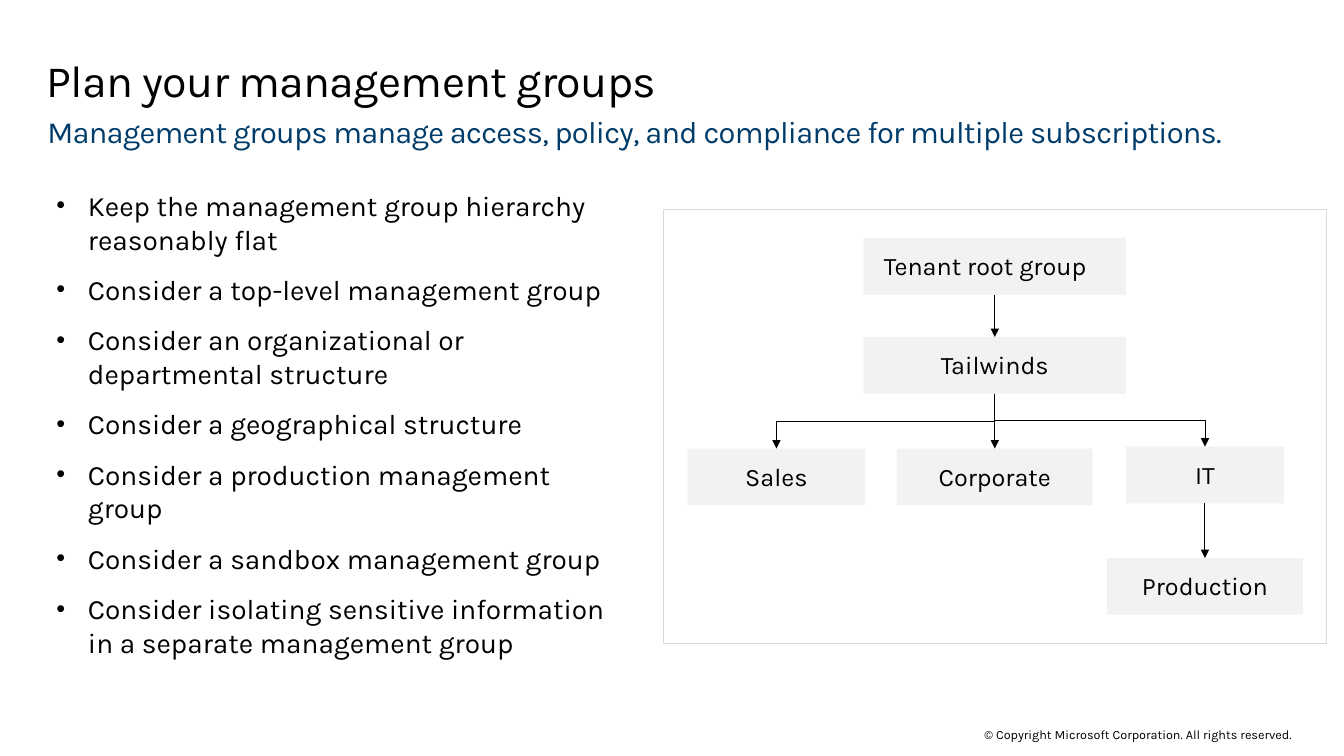
from lxml.etree import SubElement
from pptx import Presentation
from pptx.dml.color import RGBColor
from pptx.enum.shapes import MSO_CONNECTOR as LINE, MSO_SHAPE as SHAPE
from pptx.enum.text import MSO_ANCHOR as ANCHOR, MSO_AUTO_SIZE as FIT, PP_ALIGN as ALIGN
from pptx.oxml.ns import qn
from pptx.util import Pt

FONT = "Karla"
COLORS = {"text": "000000", "subtitle": "003C6A", "box": "F2F2F2", "frame": "D9D9D9"}

TITLE = "Plan your management groups"
SUBTITLE = "Management groups manage access, policy, and compliance for multiple subscriptions."
COPYRIGHT = "© Copyright Microsoft Corporation. All rights reserved."
ADVICE = [
    "Keep the management group hierarchy reasonably flat",
    "Consider a top-level management group",
    "Consider an organizational or departmental structure",
    "Consider a geographical structure",
    "Consider a production management group",
    "Consider a sandbox management group",
    "Consider isolating sensitive information in a separate management group",
]

# name: (centre x, top, width, parent), in points
BOX_HEIGHT = 40.5
GROUPS = {
    "Tenant root group": (710.6, 170, 187.2, None),
    "Tailwinds": (710.6, 240.7, 187.2, "Tenant root group"),
    "Sales": (554.6, 320.4, 126.8, "Tailwinds"),
    "Corporate": (710.6, 320.4, 139.8, "Tailwinds"),
    "IT": (860.7, 319, 113, "Tailwinds"),
    "Production": (860.7, 398.6, 139.8, "IT"),
}


def rgb(name):
    return RGBColor.from_string(COLORS[name])


def place(s, x, y, w, h):
    s.left, s.top, s.width, s.height = Pt(x), Pt(y), Pt(w), Pt(h)


def add_bullet(p, indent=22.5):
    pPr = p._p.get_or_add_pPr()
    pPr.set("marL", str(Pt(indent)))
    pPr.set("indent", str(-Pt(indent)))
    SubElement(pPr, qn("a:buSzPct")).set("val", "90000")
    SubElement(pPr, qn("a:buFont")).set("typeface", "Arial")
    SubElement(pPr, qn("a:buChar")).set("char", "•")


def write(s, text, size, color="text", align=ALIGN.LEFT, anchor=ANCHOR.TOP,
          insets=(0, 0, 0, 0), line=1.0, after=0, spacing=0, bullet=False):
    """Fill a shape with one paragraph per line of text."""
    tf = s.text_frame
    tf.word_wrap, tf.auto_size, tf.vertical_anchor = True, FIT.NONE, anchor
    tf.margin_left, tf.margin_top, tf.margin_right, tf.margin_bottom = map(Pt, insets)
    for i, words in enumerate(text.split("\n")):
        p = tf.add_paragraph() if i else tf.paragraphs[0]
        p.alignment, p.line_spacing = align, line
        p.space_before, p.space_after = Pt(0), Pt(after)
        if bullet:
            add_bullet(p)
        r = p.add_run()
        r.text = words
        r.font.name, r.font.size = FONT, Pt(size)
        r.font.color.rgb = rgb(color)
        if spacing:
            r._r.get_or_add_rPr().set("spc", str(round(spacing * 100)))


def add_box(shapes, x, y, w, h, fill=None, outline=None):
    s = shapes.add_shape(SHAPE.RECTANGLE, Pt(x), Pt(y), Pt(w), Pt(h))
    s.shadow.inherit = False
    if fill:
        s.fill.solid()
        s.fill.fore_color.rgb = rgb(fill)
    else:
        s.fill.background()
    if outline:
        s.line.color.rgb = rgb(outline)
        s.line.width = Pt(0.75)
    else:
        s.line.fill.background()
    return s


def add_arrow(shapes, x1, y1, x2, y2):
    """Arrow that leaves and arrives vertically, with an elbow if x changes."""
    if x1 == x2:
        s = shapes.add_connector(LINE.STRAIGHT, Pt(x1), Pt(y1), Pt(x2), Pt(y2))
    else:
        # An elbow leaves sideways, so lay it flat round its centre and turn it
        cx, cy = (x1 + x2) / 2, (y1 + y2) / 2
        side = 1 if x2 > x1 else -1
        dx, dy = side * (y2 - y1) / 2, abs(x2 - x1) / 2
        s = shapes.add_connector(LINE.ELBOW, Pt(cx + dx), Pt(cy - dy), Pt(cx - dx), Pt(cy + dy))
        turn = 270 if side > 0 else 90
        s._element.spPr.find(qn("a:xfrm")).set("rot", str(turn * 60000))
    s.line.color.rgb = rgb("text")
    s.line.width = Pt(0.75)
    SubElement(s.line._get_or_add_ln(), qn("a:tailEnd")).set("type", "triangle")
    SubElement(s._element.spPr, qn("a:effectLst"))


def main():
    prs = Presentation()
    prs.slide_width, prs.slide_height = Pt(960), Pt(540)
    slide = prs.slides.add_slide(prs.slide_layouts[3])
    shapes = slide.shapes
    title, subtitle, advice = slide.placeholders

    place(title, 33.1, 34.6, 892.8, 50.4)
    write(title, TITLE, 32, insets=(0, 7.2, 11.5, 7.2), line=0.9, spacing=-0.5)

    place(subtitle, 33.8, 77, 892.8, 33.8)
    write(subtitle, SUBTITLE, 22, color="subtitle", insets=(0, 3.6, 0, 3.6), spacing=-0.5)
    pPr = subtitle.text_frame.paragraphs[0]._p.get_or_add_pPr()
    pPr.set("marL", "0")
    pPr.set("indent", "0")
    SubElement(pPr, qn("a:buNone"))

    place(advice, 40.3, 127.4, 406.1, 353.5)
    write(advice, "\n".join(ADVICE), 20, insets=(0, 7.2, 11.5, 7.2), after=12, bullet=True)

    add_box(shapes, 473.8, 149.8, 473.8, 309.6, outline="frame")
    for name, (cx, top, width, parent) in GROUPS.items():
        s = add_box(shapes, cx - width / 2, top, width, BOX_HEIGHT, fill="box")
        write(s, name, 18, align=ALIGN.CENTER if parent else ALIGN.LEFT,
              insets=(14.4, 11.5, 14.4, 11.5), line=0.9, after=6)
    for cx, top, _, parent in GROUPS.values():
        if parent:
            parent_cx, parent_top = GROUPS[parent][:2]
            add_arrow(shapes, parent_cx, parent_top + BOX_HEIGHT, cx, top)

    s = shapes.add_textbox(Pt(650.9), Pt(519.1), Pt(324), Pt(10.8))
    write(s, COPYRIGHT, 9, align=ALIGN.CENTER, anchor=ANCHOR.MIDDLE)

    prs.save("out.pptx")


if __name__ == "__main__":
    main()
